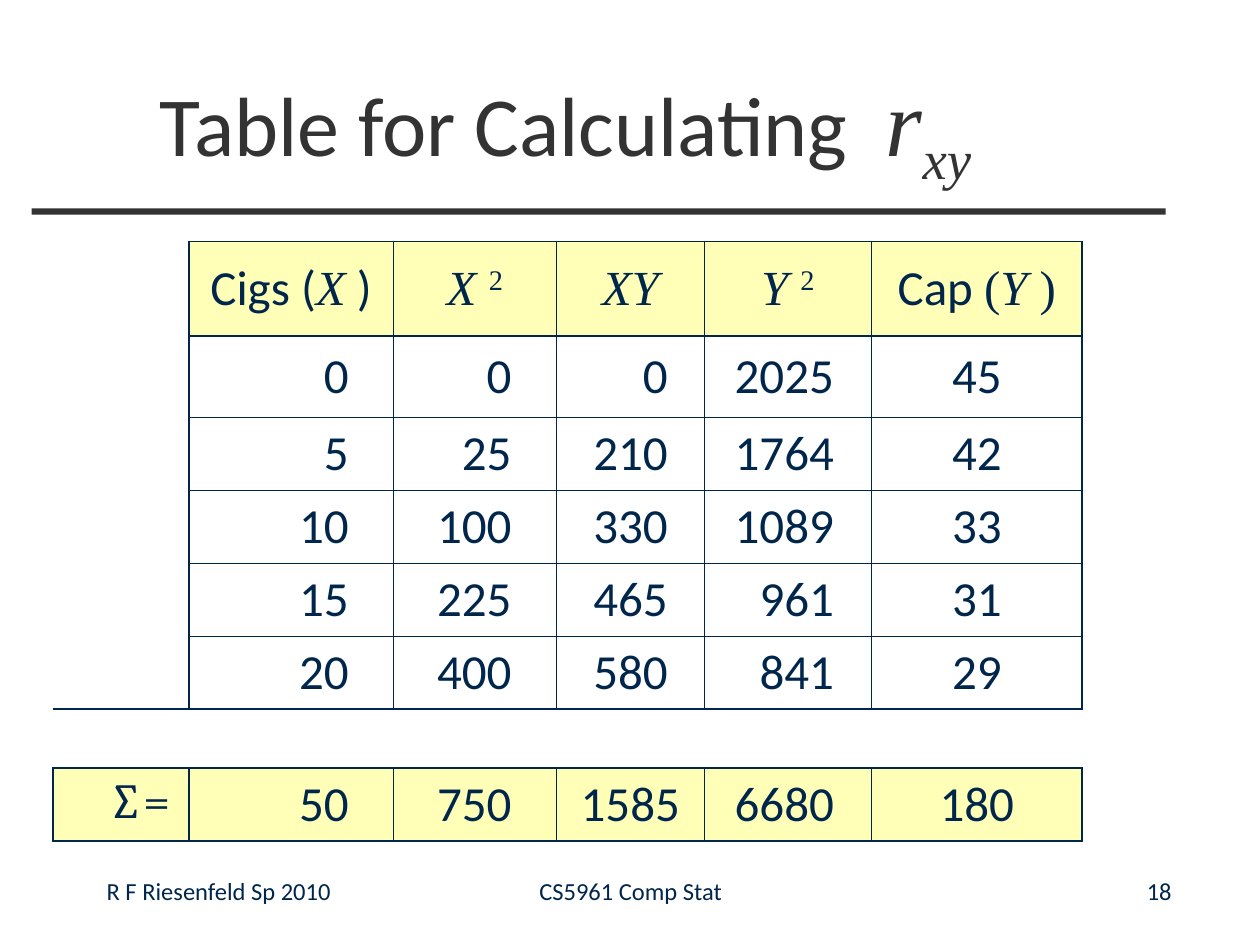
from lxml import etree
from pptx import Presentation, util as u
from pptx.dml.color import RGBColor
from pptx.enum import shapes, text
from pptx.oxml.ns import qn

COLORS = {"ink": "00264C", "title": "333333", "head": "FFFFB8"}
SANS, SERIF, MATH = "Calibri", "Times New Roman", "Cambria"
LEFT, CENTER, RIGHT = text.PP_ALIGN.LEFT, text.PP_ALIGN.CENTER, text.PP_ALIGN.RIGHT
TOP, MIDDLE, BOTTOM = text.MSO_ANCHOR.TOP, text.MSO_ANCHOR.MIDDLE, text.MSO_ANCHOR.BOTTOM

TITLE = [
    ("Table for Calculating", dict(size=48)),
    (" ", dict(size=48, spc=1080)),
    ("r", dict(size=54, font=SERIF, italic=True)),
    ("xy", dict(size=54, font=SERIF, italic=True, base=-25)),
]
VAR = dict(font=SERIF, italic=True)
SQUARE = dict(font=SERIF, base=30)
HEADER = [
    [("Cigs (", {}), ("X", VAR), (" )", {})],
    [("X ", VAR), ("2", SQUARE)],
    [("XY", VAR)],
    [("Y ", VAR), ("2", SQUARE)],
    [("Cap ", {}), ("(", dict(font=SERIF)), ("Y ", VAR), (")", dict(font=SERIF))],
]
DATA = [
    (0, 0, 0, 2025, 45),
    (5, 25, 210, 1764, 42),
    (10, 100, 330, 1089, 33),
    (15, 225, 465, 961, 31),
    (20, 400, 580, 841, 29),
]
SUMS = (50, 750, 1585, 6680, 180)
COLUMNS = [2.74, 4.11, 3.3, 2.97, 3.38, 4.24]
ROWS = [1.91, 1.63] + [1.47] * 4 + [1.19, 1.47]
ALIGNS = [(RIGHT, 0.89), (RIGHT, 0.91), (RIGHT, 0.73), (RIGHT, 0.76), (CENTER, 0.25)]
FOOTERS = [
    ("R F Riesenfeld Sp 2010", 1.9, 5.28, LEFT),
    ("CS5961 Comp Stat", 8.69, 8.05, CENTER),
    ("18", 22.43, 1.88, CENTER),
]
GAP, TOTAL = len(DATA) + 1, len(DATA) + 2
LAST = len(COLUMNS) - 1


def write(tf, runs, align, size=28, color="ink", before=0):
    p = tf.paragraphs[0]
    p.alignment = align
    p.space_before = u.Pt(before)
    for words, look in runs:
        r = p.add_run()
        r.text = words
        r.font.name = look.get("font", SANS)
        r.font.size = u.Pt(look.get("size", size))
        r.font.italic = look.get("italic", False)
        r.font.color.rgb = RGBColor.from_string(COLORS[color])
        if "base" in look:
            r.font._element.set("baseline", str(look["base"] * 1000))
        if "spc" in look:
            r.font._element.set("spc", str(look["spc"]))


def add_text(s, box, runs, align, **style):
    tf = s.shapes.add_textbox(*map(u.Cm, box)).text_frame
    tf.word_wrap = True
    tf.vertical_anchor = BOTTOM
    write(tf, runs, align, **style)


def edge_widths(row, col):
    thick, thin = 1.08, 0.45
    heavy = (0, 1, GAP, TOTAL, TOTAL + 1)
    top = thick if row in heavy else thin
    bottom = thick if row + 1 in heavy else thin
    left = thick if col in (0, 1) else thin
    right = thick if col in (0, LAST) else thin
    if row == GAP:
        return {"L": 0, "R": 0, "T": top, "B": bottom}
    if col == 0 and row < GAP:
        return {"L": 0, "R": right, "T": 0, "B": bottom if row + 1 == GAP else 0}
    return {"L": left, "R": right, "T": top, "B": bottom}


def set_borders(cell, widths):
    tcPr = cell._tc.get_or_add_tcPr()
    for side, width in widths.items():
        ln = etree.SubElement(tcPr, qn("a:ln" + side), w=str(u.Pt(width)))
        if width:
            fill = etree.SubElement(ln, qn("a:solidFill"))
            etree.SubElement(fill, qn("a:srgbClr"), val=COLORS["ink"])
        else:
            etree.SubElement(ln, qn("a:noFill"))


def fill_cell(cell, runs, align, margin=0.25, anchor=MIDDLE, before=7):
    cell.margin_right = u.Cm(margin)
    cell.vertical_anchor = anchor
    write(cell.text_frame, runs, align, before=before)


def add_grid(s):
    frame = s.shapes.add_table(len(ROWS), len(COLUMNS), u.Cm(1.07), u.Cm(4.87),
                               u.Cm(sum(COLUMNS)), u.Cm(sum(ROWS)))
    table = frame.table
    table.first_row = table.horz_banding = False
    for col, width in zip(table.columns, COLUMNS):
        col.width = u.Cm(width)
    for row, height in zip(table.rows, ROWS):
        row.height = u.Cm(height)
    for i in range(len(ROWS)):
        for j in range(len(COLUMNS)):
            cell = table.cell(i, j)
            set_borders(cell, edge_widths(i, j))
            if i == TOTAL or (i == 0 and j > 0):
                cell.fill.solid()
                cell.fill.fore_color.rgb = RGBColor.from_string(COLORS["head"])
            else:
                cell.fill.background()
    table.cell(GAP, 0).merge(table.cell(GAP, LAST))

    for j, runs in enumerate(HEADER, 1):
        fill_cell(table.cell(0, j), runs, CENTER, before=0)
    for i, values in [*enumerate(DATA, 1), (TOTAL, SUMS)]:
        for j, (value, (align, margin)) in enumerate(zip(values, ALIGNS), 1):
            if value == 1585:
                align, margin = CENTER, 0.25
            fill_cell(table.cell(i, j), [(str(value), {})], align, margin)
    fill_cell(table.cell(TOTAL, 0), [("∑=", dict(font=MATH))], RIGHT, 0.38, TOP)


def main():
    prs = Presentation()
    prs.slide_width, prs.slide_height = u.Cm(25.4), u.Cm(19.05)
    s = prs.slides.add_slide(prs.slide_layouts[6])

    rule = s.shapes.add_shape(shapes.MSO_SHAPE.RECTANGLE, u.Cm(0.64), u.Cm(4.2),
                              u.Cm(22.86), u.Cm(0.13))
    rule.shadow.inherit = False
    rule.fill.solid()
    rule.fill.fore_color.rgb = RGBColor.from_string(COLORS["title"])
    rule.line.fill.background()

    add_text(s, (2.97, 0.79, 21.67, 3.18), TITLE, LEFT, color="title")
    add_grid(s)
    for words, left, width, align in FOOTERS:
        add_text(s, (left, 17.2, width, 1.17), [(words, {})], align, size=14)
    prs.save("out.pptx")


if __name__ == "__main__":
    main()
